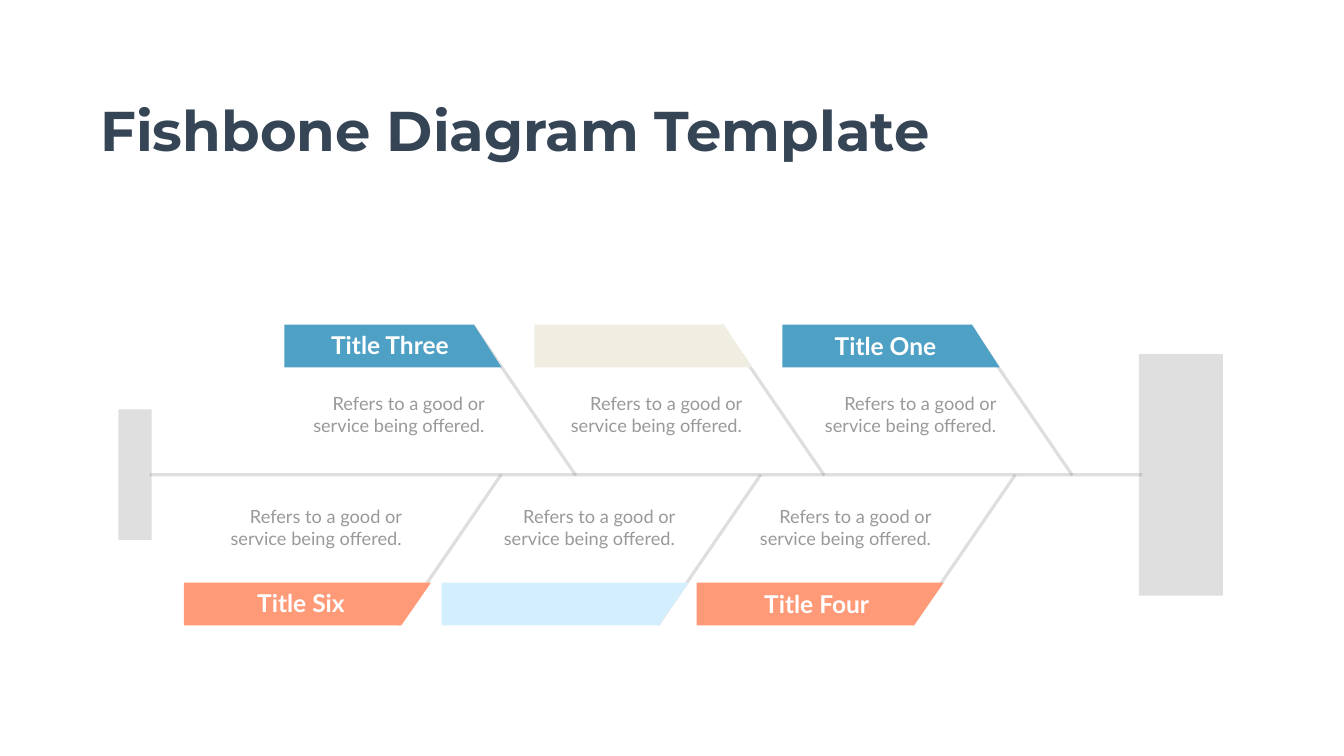
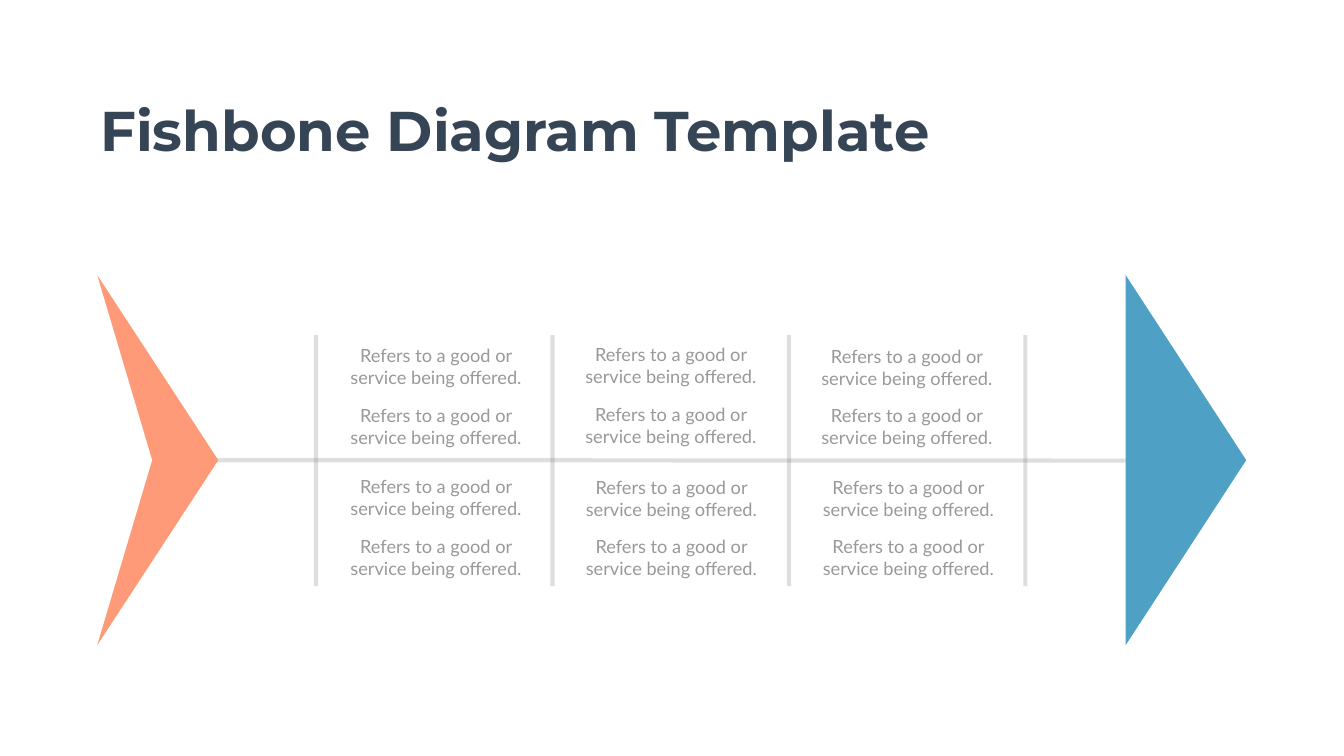
from dataclasses import dataclass

from lxml import etree
from pptx import Presentation
from pptx import util as u
from pptx.dml.color import RGBColor
from pptx.enum import shapes, text
from pptx.oxml.ns import qn

# Scale: 100 px to the inch
PX = 9144

# Colours and fonts
NAVY = RGBColor(0x36, 0x45, 0x56)
BLUE = RGBColor(0x4E, 0xA1, 0xC5)
CREAM = RGBColor(0xF0, 0xED, 0xE1)
SKY = RGBColor(0xD3, 0xEF, 0xFD)
CORAL = RGBColor(0xFE, 0x9A, 0x78)
GREY = RGBColor(0x80, 0x80, 0x80)
SILVER = RGBColor(0x99, 0x99, 0x99)
WHITE = RGBColor(0xFF, 0xFF, 0xFF)
HEAD_FONT = "Montserrat"
BODY_FONT = "Lato"

TITLE = "Fishbone Diagram Template"
NOTE = "Refers to a good or service being offered."
NOTE_W, NOTE_H, NOTE_STEP = 394, 98, 118
BAND_H = 85
RIB_RUN = 204
LEFT, MID, RIGHT = text.PP_ALIGN.LEFT, text.PP_ALIGN.CENTER, text.PP_ALIGN.RIGHT


@dataclass
class Label:
    name: str
    left: int
    top: int
    width: int


@dataclass
class Bone:
    fill: RGBColor
    band: int  # left edge of the band
    foot: int  # where the rib meets the spine
    note: int
    label: Label | None = None


@dataclass
class Side:
    top: int  # top edge of the bands
    upper: int  # band width along its top
    lower: int  # band width along its base
    foot: int  # rib end on the spine
    tip: int  # rib end at the band
    note: int
    bones: list[Bone]


@dataclass
class Stack:
    left: int
    top: int


SIDES = [
    Side(644, 376, 431, 943, 645, 774, [
        Bone(BLUE, 1552, 2127, 1592, Label("Title One", 1644, 652, 225)),
        Bone(CREAM, 1060, 1635, 1088),
        Bone(BLUE, 564, 1142, 577, Label("Title Three", 644, 650, 259)),
    ]),
    Side(1156, 490, 431, 942, 1240, 998, [
        Bone(CORAL, 1382, 2014, 1463, Label("Title Four", 1504, 1163, 232)),
        Bone(SKY, 876, 1509, 955),
        Bone(CORAL, 365, 994, 413, Label("Title Six", 498, 1161, 198)),
    ]),
]

# Pairs of notes above, then below, the spine
STACKS = [
    Stack(668, 679), Stack(1134, 677), Stack(1602, 680),
    Stack(668, 939), Stack(1135, 940), Stack(1605, 940),
]


# Drawing tools
def fade(shape) -> None:
    """Let a quarter of the shape's colour show."""
    for tint in shape.element.spPr.iter(qn("a:srgbClr")):
        etree.SubElement(tint, qn("a:alpha"), val="25000")


def paint(shape, fill: RGBColor) -> None:
    shape.shadow.inherit = False
    shape.fill.solid()
    shape.fill.fore_color.rgb = fill
    shape.line.fill.background()


def add_line(slide, x1: int, y1: int, x2: int, y2: int, width: float) -> None:
    line = slide.shapes.add_connector(
        shapes.MSO_CONNECTOR.STRAIGHT, x1 * PX, y1 * PX, x2 * PX, y2 * PX)
    line.line.width = u.Pt(width)
    line.line.color.rgb = GREY
    fade(line)
    etree.SubElement(line.element.spPr, qn("a:effectLst"))


def add_form(slide, points: list[tuple[int, int]], fill: RGBColor) -> None:
    form = slide.shapes.build_freeform(*points[0], scale=PX)
    form.add_line_segments(points[1:], close=True)
    paint(form.convert_to_shape(), fill)


def add_block(slide, x: int, y: int, w: int, h: int) -> None:
    block = slide.shapes.add_shape(
        shapes.MSO_SHAPE.RECTANGLE, x * PX, y * PX, w * PX, h * PX)
    paint(block, GREY)
    fade(block)


def write(frame, words: str, size: int, font: str, tint: RGBColor,
          align, bold: bool) -> None:
    frame.auto_size = text.MSO_AUTO_SIZE.SHAPE_TO_FIT_TEXT
    frame.vertical_anchor = text.MSO_ANCHOR.TOP
    line = frame.paragraphs[0]
    line.alignment = align
    run = line.add_run()
    run.text = words
    run.font.size = u.Pt(size)
    run.font.name = font
    run.font.bold = bold
    run.font.color.rgb = tint


def add_box(slide, x: int, y: int, w: int, h: int):
    box = slide.shapes.add_textbox(x * PX, y * PX, w * PX, h * PX)
    box.text_frame.word_wrap = True
    return box.text_frame


def add_label(slide, label: Label) -> None:
    frame = add_box(slide, label.left, label.top, label.width, 69)
    write(frame, label.name, 35, BODY_FONT, WHITE, MID, True)


def add_note(slide, x: int, y: int, align) -> None:
    frame = add_box(slide, x, y, NOTE_W, NOTE_H)
    write(frame, NOTE, 26, BODY_FONT, SILVER, align, False)


def add_slide(deck):
    """Start a slide with the shared title."""
    slide = deck.slides.add_slide(deck.slide_layouts[5])
    head = slide.shapes.title
    head.left, head.top = 189 * PX, 185 * PX
    head.width, head.height = 1671 * PX, 145 * PX
    head.text_frame.word_wrap = False
    write(head.text_frame, TITLE, 80, HEAD_FONT, NAVY, LEFT, True)
    return slide


# Slide 1: slanted ribs with title bands
def draw_bands(deck) -> None:
    slide = add_slide(deck)
    add_line(slide, 297, 942, 2266, 942, 4.5)
    pairs = [(side, bone) for side in SIDES for bone in side.bones]
    for side, bone in pairs:
        add_line(slide, bone.foot, side.foot, bone.foot - RIB_RUN, side.tip, 4.5)
    for side, bone in pairs:
        base = side.top + BAND_H
        add_form(slide, [(bone.band, side.top),
                         (bone.band + side.upper, side.top),
                         (bone.band + side.lower, base),
                         (bone.band, base)], bone.fill)
        if bone.label:
            add_label(slide, bone.label)
        add_note(slide, bone.note, side.note, RIGHT)
    # Head and tail
    add_block(slide, 2259, 702, 167, 480)
    add_block(slide, 235, 812, 66, 259)


# Slide 2: upright ribs with notes between them
def draw_grid(deck) -> None:
    slide = add_slide(deck)
    add_line(slide, 427, 913, 2233, 914, 6)
    for i in range(4):
        x = 627 + 469 * i
        add_line(slide, x, 665, x, 1163, 6)
    # Head and tail
    add_form(slide, [(2233, 546), (2472, 913), (2233, 1280)], BLUE)
    add_form(slide, [(193, 546), (433, 913), (193, 1280), (302, 913)], CORAL)
    for stack in STACKS:
        for row in range(2):
            add_note(slide, stack.left, stack.top + NOTE_STEP * row, MID)


def main() -> None:
    deck = Presentation()
    deck.slide_width, deck.slide_height = 2666 * PX, 1500 * PX
    draw_bands(deck)
    draw_grid(deck)
    deck.save("out.pptx")


if __name__ == "__main__":
    main()
